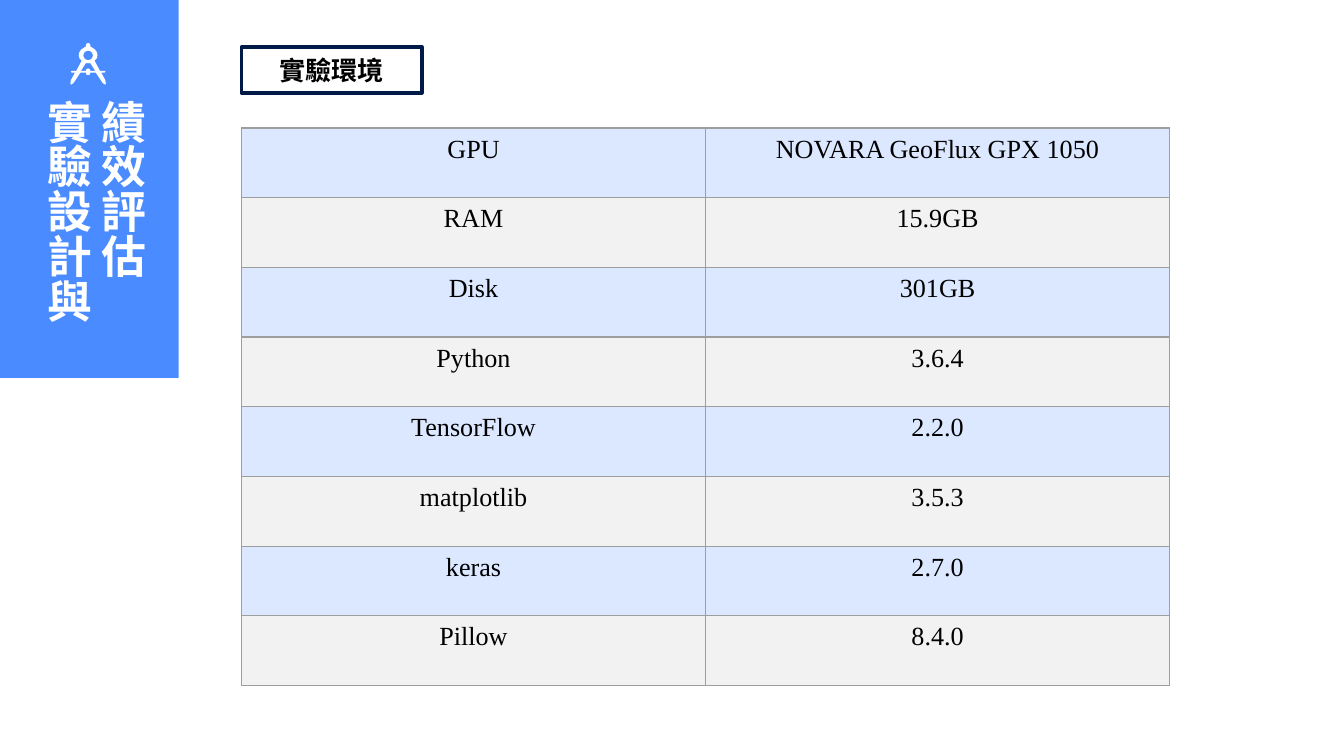
from math import cos, pi, sin

from lxml import etree
from pptx import Presentation
from pptx.dml.color import RGBColor
from pptx.enum import shapes, text
from pptx.oxml.ns import qn
from pptx.util import Pt

BLUE = RGBColor(0x4A, 0x8C, 0xFF)
NAVY = RGBColor(0x00, 0x1A, 0x47)
WHITE = RGBColor(0xFF, 0xFF, 0xFF)
BLACK = RGBColor(0, 0, 0)
BANDS = RGBColor(0xDB, 0xE8, 0xFF), RGBColor(0xF2, 0xF2, 0xF2)
GRID = RGBColor(0x9E, 0x9E, 0x9E)
SANS = "Noto Sans CJK SC"
SERIF = "Times New Roman"

ROWS = [
    ("GPU", "NOVARA GeoFlux GPX 1050"),
    ("RAM", "15.9GB"),
    ("Disk", "301GB"),
    ("Python", "3.6.4"),
    ("TensorFlow", "2.2.0"),
    ("matplotlib", "3.5.3"),
    ("keras", "2.7.0"),
    ("Pillow", "8.4.0"),
]

# Right halves of the icon's outlines: (offset from axis, depth) in 1/100 inch
EYE = [(3.5 * sin(i * pi / 12), 9.3 - 3.5 * cos(i * pi / 12)) for i in range(13)]
FRAME = [(0, 0), (1.2, 0.6), (1.6, 1.5), (1.6, 2.6), (5, 4.8), (6.5, 6.9),
         (7, 9.3), (6.4, 11.5), (4.8, 13.3), (8.8, 20.8), (12, 20.8),
         (13, 21.5), (12, 22.2), (9.8, 22.2), (12.8, 27.7), (13.2, 30.5),
         (12.6, 31), (11, 30), (9.8, 28.3), (5.8, 22.2), (1.6, 22.2),
         (1.3, 23.5), (0, 24)]
GAP = [(0, 19), (1.4, 19.7), (1.6, 20.8), (5.3, 20.8), (1.6, 15), (0, 15.2)]


def add_run(para, words, font, size, color, bold=False):
    run = para.add_run()
    run.text = words
    run.font.name, run.font.size, run.font.bold = font, Pt(size), bold
    run.font.color.rgb = color
    props = run.font._element
    etree.SubElement(props, qn("a:ea")).set("typeface", font)


def add_rect(slide, x, y, w, h):
    rect = slide.shapes.add_shape(
        shapes.MSO_SHAPE.RECTANGLE, Pt(x), Pt(y), Pt(w), Pt(h))
    rect.shadow.inherit = False
    return rect


def add_icon(slide, x, y):
    """Draw a pair of compasses, symmetric about x, with its top at y."""
    def place(half):
        whole = half + [(-dx, dy) for dx, dy in reversed(half)]
        return [(Pt(x + 0.72 * dx), Pt(y + 0.72 * dy)) for dx, dy in whole]

    first, *rest = place(FRAME)
    pen = slide.shapes.build_freeform(*first)
    pen.add_line_segments(rest)
    for half in (EYE, GAP):
        first, *rest = place(half)
        pen.move_to(*first)
        pen.add_line_segments(rest)
    icon = pen.convert_to_shape()
    icon.shadow.inherit = False
    icon.fill.solid()
    icon.fill.fore_color.rgb = WHITE
    icon.line.fill.background()


def add_panel(slide, x, y, w, h):
    panel = add_rect(slide, x, y, w, h)
    panel.fill.solid()
    panel.fill.fore_color.rgb = BLUE
    panel.line.fill.background()

    title = slide.shapes.title
    slide.shapes.element.append(title.element)  # bring in front of the panel
    title.left, title.top = Pt(x + 11), Pt(y + 49.8)
    title.width, title.height = Pt(72.7), Pt(162)
    frame = title.text_frame
    frame.auto_size = text.MSO_AUTO_SIZE.NONE
    frame.word_wrap = True
    frame.vertical_anchor = text.MSO_ANCHOR.TOP
    frame.margin_left = frame.margin_right = Pt(3.6)
    frame.margin_top = frame.margin_bottom = Pt(3.6)
    frame._txBody.bodyPr.set("vert", "eaVert")
    for para, words in ((frame.paragraphs[0], "績效評估"),
                        (frame.add_paragraph(), "實驗設計與")):
        para.alignment = text.PP_ALIGN.LEFT
        para.line_spacing = Pt(29)
        add_run(para, words, SANS, 24, WHITE, True)

    add_icon(slide, x + 47.2, y + 23)


def add_label(slide, x, y, w, h):
    label = add_rect(slide, x, y, w, h)
    label.fill.background()
    label.line.color.rgb, label.line.width = NAVY, Pt(2)
    frame = label.text_frame
    frame.vertical_anchor = text.MSO_ANCHOR.MIDDLE
    frame.margin_top = frame.margin_bottom = 0
    para = frame.paragraphs[0]
    para.alignment = text.PP_ALIGN.CENTER
    add_run(para, "實驗環境", SANS, 14, BLACK, True)


def add_edges(cell):
    props = cell._tc.get_or_add_tcPr()
    for i, side in enumerate(("lnL", "lnR", "lnT", "lnB")):
        edge = etree.Element(qn("a:" + side), w=str(Pt(0.75)))
        fill = etree.SubElement(edge, qn("a:solidFill"))
        etree.SubElement(fill, qn("a:srgbClr"), val=str(GRID))
        props.insert(i, edge)


def add_specs(slide, x, y, w, h):
    table = slide.shapes.add_table(
        len(ROWS), 2, Pt(x), Pt(y), Pt(w), Pt(h)).table
    for r, row in enumerate(ROWS):
        table.rows[r].height = Pt(h / len(ROWS))
        for c, words in enumerate(row):
            cell = table.cell(r, c)
            cell.fill.solid()
            cell.fill.fore_color.rgb = BANDS[r % 2]
            add_edges(cell)
            para = cell.text_frame.paragraphs[0]
            para.alignment = text.PP_ALIGN.CENTER
            add_run(para, words, SERIF, 14, BLACK)


def main():
    deck = Presentation()
    deck.slide_width, deck.slide_height = Pt(720), Pt(405)
    slide = deck.slides.add_slide(deck.slide_layouts[5])
    add_panel(slide, 0, 0, 95.8, 202.5)
    add_label(slide, 129.4, 25.2, 96.6, 24.6)
    add_specs(slide, 129.4, 68.6, 497.2, 298.8)
    deck.save("out.pptx")


if __name__ == "__main__":
    main()
